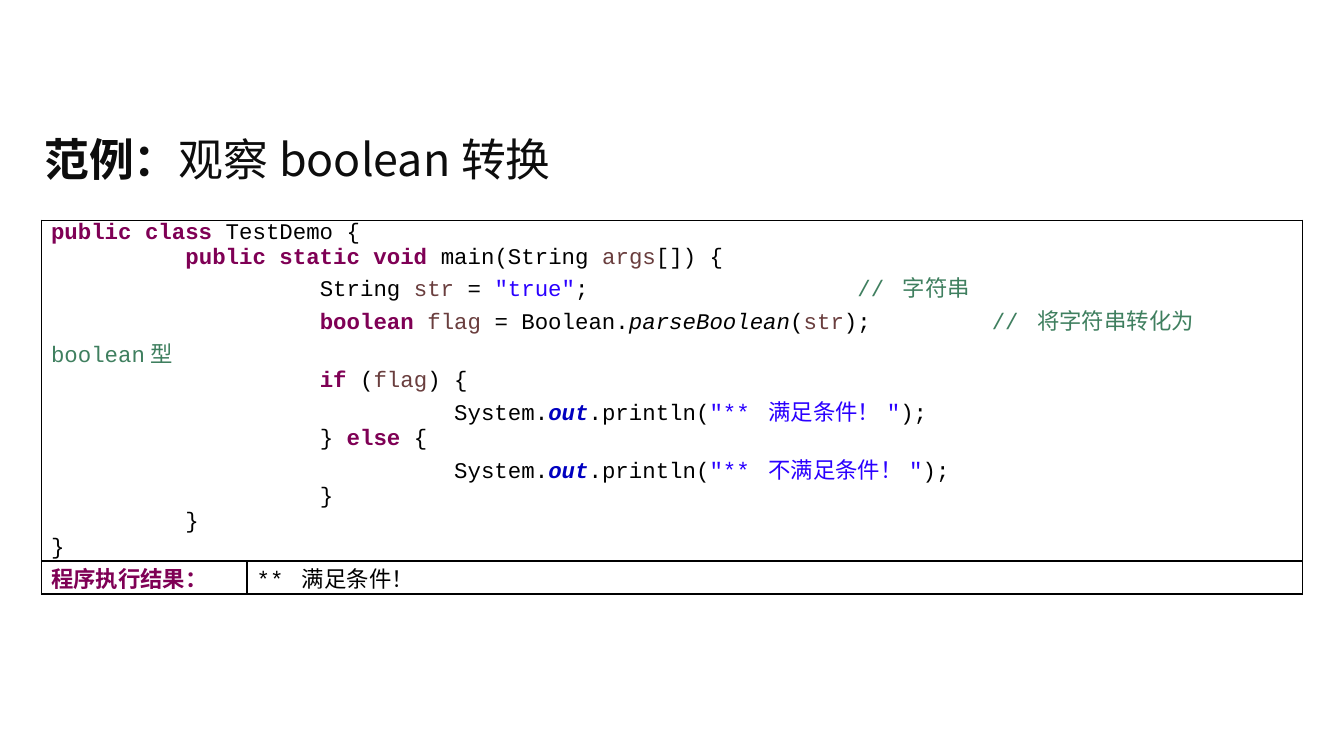
from lxml import etree
from pptx import Presentation
from pptx.dml.color import RGBColor
from pptx.enum.text import MSO_ANCHOR, PP_ALIGN
from pptx.oxml.ns import qn
from pptx.util import Inches, Pt

MIDDLE = MSO_ANCHOR.MIDDLE
LEFT = PP_ALIGN.LEFT
TITLE_ONLY = 5
TAB_STOPS = 7

CODE_FONT = "Courier New"
CHINESE_FONT = "Noto Sans CJK SC"
TITLE_INK = RGBColor(0x0D, 0x0D, 0x0D)
BLACK = RGBColor(0x00, 0x00, 0x00)
PURPLE = RGBColor(0x7F, 0x00, 0x55)
BROWN = RGBColor(0x6A, 0x3E, 0x3E)
BLUE = RGBColor(0x2A, 0x00, 0xFF)
GREEN = RGBColor(0x3F, 0x7F, 0x5F)
NAVY = RGBColor(0x00, 0x00, 0xC0)

PLAIN = (BLACK, False, False)
KEYWORD = (PURPLE, True, False)
VARIABLE = (BROWN, False, False)
STRING = (BLUE, False, False)
COMMENT = (GREEN, False, False)
FIELD = (NAVY, True, True)
METHOD = (BLACK, False, True)
HEADING = (TITLE_INK, False, False)
HEADING_BOLD = (TITLE_INK, True, False)


def print_line(message):
    return [("\t\t\tSystem.", PLAIN), ("out", FIELD), (".println(", PLAIN),
            (f'"{message}"', STRING), (");", PLAIN)]


CODE = [
    [("public class", KEYWORD), (" TestDemo {", PLAIN)],
    [("\t", PLAIN), ("public static void", KEYWORD), (" main(String ", PLAIN),
     ("args", VARIABLE), ("[]) {", PLAIN)],
    [("\t\tString ", PLAIN), ("str", VARIABLE), (" = ", PLAIN),
     ('"true"', STRING), ("; \t\t", PLAIN), ("// 字符串", COMMENT)],
    [("\t\t", PLAIN), ("boolean ", KEYWORD), ("flag", VARIABLE),
     (" = Boolean.", PLAIN), ("parseBoolean", METHOD), ("(", PLAIN),
     ("str", VARIABLE), (");\t", PLAIN), ("// 将字符串转化为boolean型", COMMENT)],
    [("\t\t", PLAIN), ("if", KEYWORD), (" (", PLAIN), ("flag", VARIABLE),
     (") {", PLAIN)],
    print_line("** 满足条件！"),
    [("\t\t} ", PLAIN), ("else", KEYWORD), (" {", PLAIN)],
    print_line("** 不满足条件！"),
    [("\t\t}", PLAIN)],
    [("\t}", PLAIN)],
    [("}", PLAIN)],
]
RESULT_LABEL = [[("程序执行结果：", KEYWORD)]]
RESULT = [[("** 满足条件！", PLAIN)]]


def add_tab_stops(para):
    properties = para._p.get_or_add_pPr()
    stops = etree.SubElement(properties, qn("a:tabLst"))
    for number in range(1, TAB_STOPS + 1):
        etree.SubElement(stops, qn("a:tab"), pos=str(Inches(number)), algn="l")


def write_lines(frame, lines, font_name, size):
    for index, line in enumerate(lines):
        para = frame.paragraphs[0] if index == 0 else frame.add_paragraph()
        para.alignment = LEFT
        if any("\t" in text for text, style in line):
            add_tab_stops(para)
        para.font.name = font_name
        para.font.size = Pt(size)
        defaults = para._p.pPr.find(qn("a:defRPr"))
        etree.SubElement(defaults, qn("a:ea")).set("typeface", CHINESE_FONT)
        for text, (color, bold, italic) in line:
            span = para.add_run()
            span.text = text
            span.font.color.rgb = color
            span.font.bold = bold
            span.font.italic = italic


def add_borders(cell):
    properties = cell._tc.get_or_add_tcPr()
    for side in ("a:lnL", "a:lnR", "a:lnT", "a:lnB"):
        line = etree.SubElement(properties, qn(side), w=str(Pt(1)))
        fill = etree.SubElement(line, qn("a:solidFill"))
        etree.SubElement(fill, qn("a:srgbClr"), val=str(BLACK))


def place_title(page, left, top, width, height):
    title = page.shapes.title
    title.left, title.top, title.width, title.height = left, top, width, height
    frame = title.text_frame
    frame.word_wrap = True
    frame.vertical_anchor = MIDDLE
    line = [("范例：", HEADING_BOLD), ("观察boolean转换", HEADING)]
    write_lines(frame, [line], CHINESE_FONT, 24)


def place_example(page, left, top, width, height):
    table = page.shapes.add_table(2, 2, left, top, width, height).table
    table.first_row = False
    table.horz_banding = False
    label_width = Inches(1.53)
    result_height = Inches(0.19)
    table.columns[0].width = label_width
    table.columns[1].width = width - label_width
    table.rows[0].height = height - result_height
    table.rows[1].height = result_height
    for cell in table.iter_cells():
        cell.margin_left = cell.margin_right = Inches(0.07)
        cell.margin_top = cell.margin_bottom = 0
        add_borders(cell)
        cell.fill.background()
    table.cell(0, 0).merge(table.cell(0, 1))
    contents = {(0, 0): CODE, (1, 0): RESULT_LABEL, (1, 1): RESULT}
    for (row, column), lines in contents.items():
        write_lines(table.cell(row, column).text_frame, lines, CODE_FONT, 12)


def main():
    deck = Presentation()
    deck.slide_width = Inches(10)
    deck.slide_height = deck.slide_width * 9 // 16
    page = deck.slides.add_slide(deck.slide_layouts[TITLE_ONLY])
    place_title(page, Inches(0.23), Inches(0.86), Inches(9.53), Inches(0.64))
    place_example(page, Inches(0.31), Inches(1.64), Inches(9.38), Inches(2.67))
    deck.save("out.pptx")


if __name__ == "__main__":
    main()
